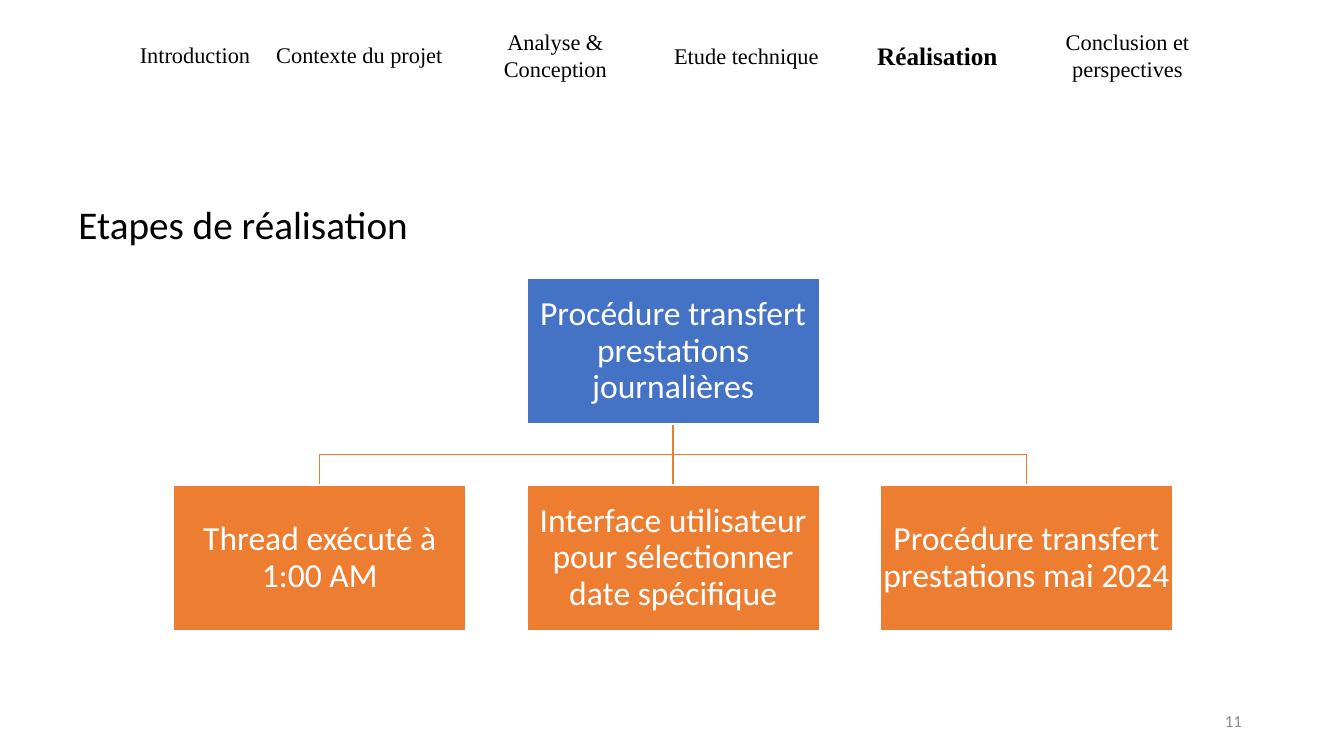
from dataclasses import dataclass
from typing import NamedTuple

from lxml import etree
from pptx import Presentation
from pptx import util as u
from pptx.dml.color import RGBColor
from pptx.enum import shapes, text
from pptx.oxml.ns import qn


@dataclass(frozen=True)
class Theme:
    black: str = "000000"
    white: str = "FFFFFF"
    grey: str = "8C8C8C"
    blue: str = "4472C4"
    orange: str = "ED7D31"
    body_font: str = "Calibri"
    nav_font: str = "Times New Roman"
    title_size: float = 28
    step_size: float = 24
    current_size: float = 18
    nav_size: float = 16
    number_size: float = 12
    line_width: float = 1


THEME = Theme()


class Frame(NamedTuple):
    left: float
    top: float
    width: float
    height: float

    @property
    def middle(self) -> float:
        return self.left + self.width / 2

    @property
    def bottom(self) -> float:
        return self.top + self.height

    def lengths(self) -> list:
        return [u.Pt(value) for value in self]


@dataclass(frozen=True)
class Style:
    size: float
    color: str = THEME.black
    font: str = THEME.body_font
    bold: bool = False
    align: text.PP_ALIGN = text.PP_ALIGN.CENTER
    anchor: text.MSO_ANCHOR = text.MSO_ANCHOR.MIDDLE
    inset_x: float = 7.2
    inset_y: float = 3.6
    line_spacing: float = 1.0


@dataclass(frozen=True)
class NavItem:
    label: str
    left: float
    width: float
    top: float = 10.8
    current: bool = False


@dataclass(frozen=True)
class Step:
    label: str
    frame: Frame
    color: str


TITLE_STYLE = Style(THEME.title_size, align=text.PP_ALIGN.LEFT,
                    anchor=text.MSO_ANCHOR.BOTTOM, line_spacing=0.9)
NUMBER_STYLE = Style(THEME.number_size, THEME.grey, align=text.PP_ALIGN.RIGHT)
NAV_STYLE = Style(THEME.nav_size, font=THEME.nav_font, inset_x=4)
CURRENT_STYLE = Style(THEME.current_size, font=THEME.nav_font, bold=True, inset_x=4)
STEP_STYLE = Style(THEME.step_size, THEME.white, inset_x=1.2, inset_y=1.2,
                   line_spacing=0.9)

NAV_HEIGHT = 56.9
NAV_ITEMS = [
    NavItem("Introduction", 72, 134.6),
    NavItem("Contexte du projet", 190.1, 133.2),
    NavItem("Analyse & Conception", 324.7, 144),
    NavItem("Etude technique", 457.2, 151.9, top=11.5),
    NavItem("Réalisation", 601.2, 136.8, current=True),
    NavItem("Conclusion et perspectives", 740.9, 128.9),
]

STEP_WIDTH, STEP_HEIGHT = 209, 104.4
STEP_LEFT, STEP_PITCH = 123.9, 252.4
PARENT_TOP, CHILD_TOP = 198.6, 346.4


def step_frame(column: int, top: float) -> Frame:
    return Frame(STEP_LEFT + column * STEP_PITCH, top, STEP_WIDTH, STEP_HEIGHT)


PARENT = Step("Procédure transfert prestations journalières",
              step_frame(1, PARENT_TOP), THEME.blue)
CHILDREN = [
    Step(label, step_frame(column, CHILD_TOP), THEME.orange)
    for column, label in enumerate([
        "Thread exécuté à 1:00 AM",
        "Interface utilisateur pour sélectionner date spécifique",
        "Procédure transfert prestations mai 2024",
    ])
]


def write(box, label: str, style: Style) -> None:
    frame = box.text_frame
    frame.word_wrap = True
    frame.vertical_anchor = style.anchor
    frame.margin_left = frame.margin_right = u.Pt(style.inset_x)
    frame.margin_top = frame.margin_bottom = u.Pt(style.inset_y)
    para = frame.paragraphs[0]
    para.alignment = style.align
    para.line_spacing = style.line_spacing
    span = para.add_run()
    span.text = label
    span.font.name = style.font
    span.font.size = u.Pt(style.size)
    span.font.bold = style.bold
    span.font.color.rgb = RGBColor.from_string(style.color)


def add_label(page, label: str, frame: Frame, style: Style) -> None:
    write(page.shapes.add_textbox(*frame.lengths()), label, style)


def set_line(line, color: str) -> None:
    line.color.rgb = RGBColor.from_string(color)
    line.width = u.Pt(THEME.line_width)


def add_step(page, step: Step) -> None:
    box = page.shapes.add_shape(shapes.MSO_SHAPE.RECTANGLE, *step.frame.lengths())
    box.shadow.inherit = False
    box.fill.solid()
    box.fill.fore_color.rgb = RGBColor.from_string(step.color)
    set_line(box.line, THEME.white)
    write(box, step.label, STEP_STYLE)


def add_link(page, parent: Frame, child: Frame) -> None:
    """Join two frames: straight when aligned, otherwise with a bend halfway down."""
    start = (u.Pt(parent.middle), u.Pt(parent.bottom))
    end = (u.Pt(child.middle), u.Pt(child.top))
    if start[0] == end[0]:
        link = page.shapes.add_connector(shapes.MSO_CONNECTOR.STRAIGHT, *start, *end)
        etree.SubElement(link.element.spPr, qn("a:effectLst"))
    else:
        bend = u.Pt((parent.bottom + child.top) / 2)
        builder = page.shapes.build_freeform(*start)
        builder.add_line_segments([(start[0], bend), (end[0], bend), end], close=False)
        link = builder.convert_to_shape()
        link.shadow.inherit = False
        link.fill.background()
    set_line(link.line, THEME.orange)


def main() -> None:
    deck = Presentation()
    deck.slide_width, deck.slide_height = u.Pt(960), u.Pt(540)
    page = deck.slides.add_slide(deck.slide_layouts[6])

    add_label(page, "Etapes de réalisation", Frame(49, 101.5, 309.6, 79.2), TITLE_STYLE)
    add_label(page, "11", Frame(678.2, 500.4, 216, 28.8), NUMBER_STYLE)
    for item in NAV_ITEMS:
        add_label(page, item.label, Frame(item.left, item.top, item.width, NAV_HEIGHT),
                  CURRENT_STYLE if item.current else NAV_STYLE)

    for child in CHILDREN:
        add_link(page, PARENT.frame, child.frame)
    for step in [PARENT, *CHILDREN]:
        add_step(page, step)

    deck.save("out.pptx")


if __name__ == "__main__":
    main()
